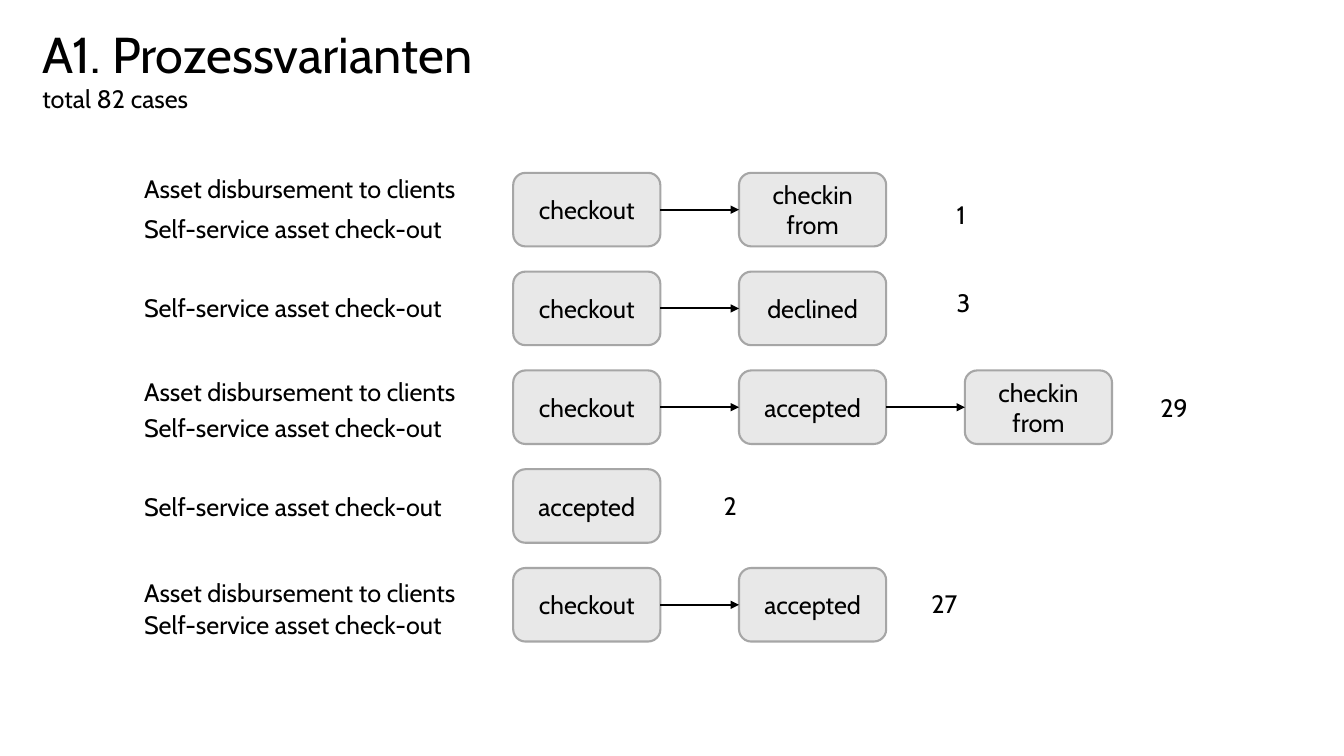
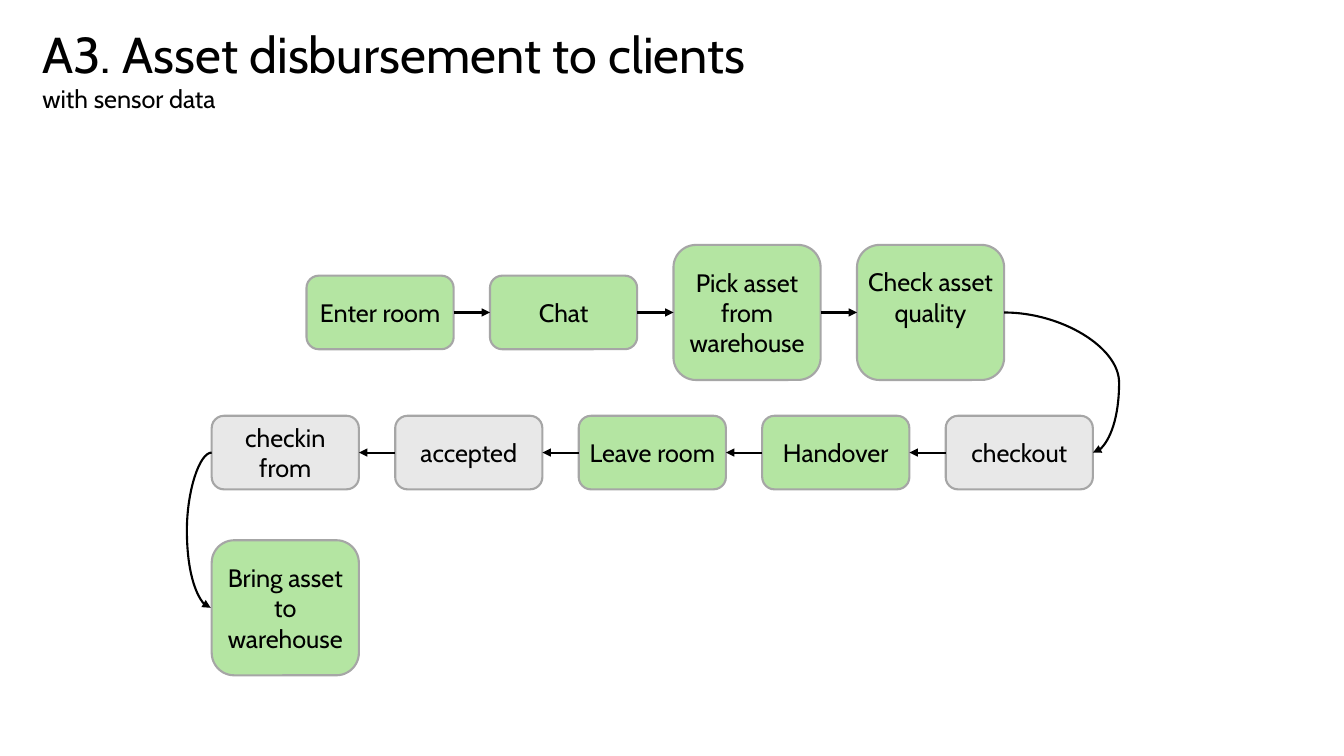
from itertools import pairwise

from pptx import Presentation
from pptx.dml.color import RGBColor
from pptx.enum.shapes import MSO_CONNECTOR as CONN, MSO_SHAPE as SHAPE
from pptx.enum.text import MSO_ANCHOR as ANCHOR, MSO_AUTO_SIZE as FIT, PP_ALIGN as ALIGN
from pptx.oxml.ns import qn
from pptx.util import Inches, Pt
from lxml.etree import SubElement

FONT, BLACK, BORDER = "Cabin", "000000", "A6A6A6"
GREY, GREEN = "E8E8E8", "B4E5A2"
BOX_W, BOX_H, TALL_H, TEXT_H = 1.46, 0.73, 1.34, 0.4
TOP, LEFT, RIGHT = 0, 1, 3
LABEL_X, FLOW_X, FLOW_STEP = 1.33, 5.09, 2.24
ROW_Y, ROW_STEP = 2.08, 0.98
CHAIN_STEP = 1.82
CLIENTS, SELF = "Asset disbursement to clients", "Self-service asset check-out"

VARIANTS = [
    ([(CLIENTS, 1.67), (SELF, 2.07)], ["checkout", "checkin\nfrom"], "1", 9.39, 1.93),
    ([(SELF, 2.85)], ["checkout", "declined"], "3", 9.39, 2.8),
    ([(CLIENTS, 3.68), (SELF, 4.04)], ["checkout", "accepted", "checkin\nfrom"], "29", 11.41, 3.84),
    ([(SELF, 4.83)], ["accepted"], "2", 7.08, 4.82),
    ([(CLIENTS, 5.68), (SELF, 6)], ["checkout", "accepted"], "27", 9.14, 5.79),
]
OUTBOUND = [
    ("Enter room", BOX_H, GREEN),
    ("Chat", BOX_H, GREEN),
    ("Pick asset from warehouse", TALL_H, GREEN),
    ("Check asset\nquality", TALL_H, GREEN),
]
RETURN = [
    ("checkin\nfrom", BOX_H, GREY),
    ("accepted", BOX_H, GREY),
    ("Leave room", BOX_H, GREEN),
    ("Handover", BOX_H, GREEN),
    ("checkout", BOX_H, GREY),
]


def rgb(color):
    """Turn a hex string into a colour."""
    return RGBColor.from_string(color)


def write(tf, text, sizes=(18,), align=ALIGN.LEFT, anchor=ANCHOR.TOP, inset=0.1, top=0.05):
    """Fill a text frame, one paragraph a line; the last size goes on."""
    tf.word_wrap, tf.auto_size, tf.vertical_anchor = True, FIT.NONE, anchor
    tf.margin_left = tf.margin_right = Inches(inset)
    tf.margin_top, tf.margin_bottom = Inches(top), Inches(0.05)
    for i, line in enumerate(text.split("\n")):
        p = tf.add_paragraph() if i else tf.paragraphs[0]
        p.alignment = align
        r = p.add_run()
        r.text = line
        r.font.name, r.font.size = FONT, Pt(sizes[min(i, len(sizes) - 1)])
        r.font.color.rgb = rgb(BLACK)


def add_slide(prs, title, subtitle, width):
    """Add a slide with its title and subtitle."""
    s = prs.slides.add_slide(prs.slide_layouts[5])
    sp = s.shapes.title
    sp.left, sp.top, sp.width, sp.height = map(Inches, (0.32, 0.18, width, 1.01))
    write(sp.text_frame, f"{title}\n{subtitle}", sizes=(36, 18))
    return s


def add_label(s, text, x, y, width):
    """Add a line of plain text."""
    sp = s.shapes.add_textbox(*map(Inches, (x, y, width, TEXT_H)))
    write(sp.text_frame, text)


def add_step(s, text, x, middle, height=BOX_H, fill=GREY, **fmt):
    """Add a process step, centred on the height of its row."""
    sp = s.shapes.add_shape(
        SHAPE.ROUNDED_RECTANGLE, *map(Inches, (x, middle - height / 2, BOX_W, height)))
    sp.shadow.inherit = False
    sp.fill.solid()
    sp.fill.fore_color.rgb = rgb(fill)
    sp.line.color.rgb, sp.line.width = rgb(BORDER), Pt(1.5)
    write(sp.text_frame, text, **{
        "align": ALIGN.CENTER, "anchor": ANCHOR.MIDDLE, "inset": 0.03, **fmt})
    return sp


def add_arrow(s, start, end, start_side=RIGHT, end_side=LEFT, kind=CONN.STRAIGHT):
    """Join two steps with an arrow."""
    c = s.shapes.add_connector(kind, 0, 0, 0, 0)
    c.begin_connect(start, start_side)
    c.end_connect(end, end_side)
    c.line.color.rgb, c.line.width = rgb(BLACK), Pt(1.5)
    SubElement(c.line._get_or_add_ln(), qn("a:tailEnd"), type="triangle")
    SubElement(c._element.spPr, qn("a:effectLst"))
    return c


def add_curve(s, start, end, side, bulge):
    """Join the same side of two steps with a curve that swings out by bulge."""
    c = add_arrow(s, start, end, side, side, CONN.CURVE)
    if c.begin_x == c.end_x:
        c.end_x -= Inches(0.01)
    share = Inches(bulge) / (c.end_x - c.begin_x)
    guides = c._element.spPr.find(qn("a:prstGeom")).get_or_add_avLst()
    SubElement(guides, qn("a:gd"), name="adj1", fmla=f"val {round(share * 100000)}")


def add_chain(s, steps, x, middle):
    """Add a row of steps at equal gaps."""
    return [add_step(s, text, x + i * CHAIN_STEP, middle, height, fill,
                     **({"anchor": ANCHOR.TOP, "top": 0.15} if text.startswith("Check ") else {}))
            for i, (text, height, fill) in enumerate(steps)]


def variants_slide(prs):
    """Build the list of process variants with their counts."""
    s = add_slide(prs, "A1. Prozessvarianten", "total 82 cases", 4.74)
    for row, (labels, steps, count, x, y) in enumerate(VARIANTS):
        for text, label_y in labels:
            add_label(s, text, LABEL_X, label_y, 3.71)
        boxes = [add_step(s, text, FLOW_X + i * FLOW_STEP, ROW_Y + row * ROW_STEP)
                 for i, text in enumerate(steps)]
        for start, end in pairwise(boxes):
            add_arrow(s, start, end)
        add_label(s, count, x, y, 0.6)


def sensor_slide(prs):
    """Build the process flow with sensor data."""
    s = add_slide(prs, "A3. Asset disbursement to clients", "with sensor data", 7.49)
    outbound = add_chain(s, OUTBOUND, 3.04, 3.1)
    back = add_chain(s, RETURN, 2.1, 4.49)
    bring = add_step(s, "Bring asset to warehouse", 2.1, 6.03, TALL_H, GREEN)
    for start, end in pairwise(outbound):
        add_arrow(s, start, end)
    for end, start in pairwise(back):
        add_arrow(s, start, end, LEFT, RIGHT)
    add_curve(s, outbound[-1], back[-1], RIGHT, 1.14)
    add_curve(s, back[0], bring, LEFT, -0.25)


def main():
    """Build and save the presentation."""
    prs = Presentation()
    prs.slide_width, prs.slide_height = Inches(13.33), Inches(7.5)
    variants_slide(prs)
    sensor_slide(prs)
    prs.save("out.pptx")


if __name__ == "__main__":
    main()
